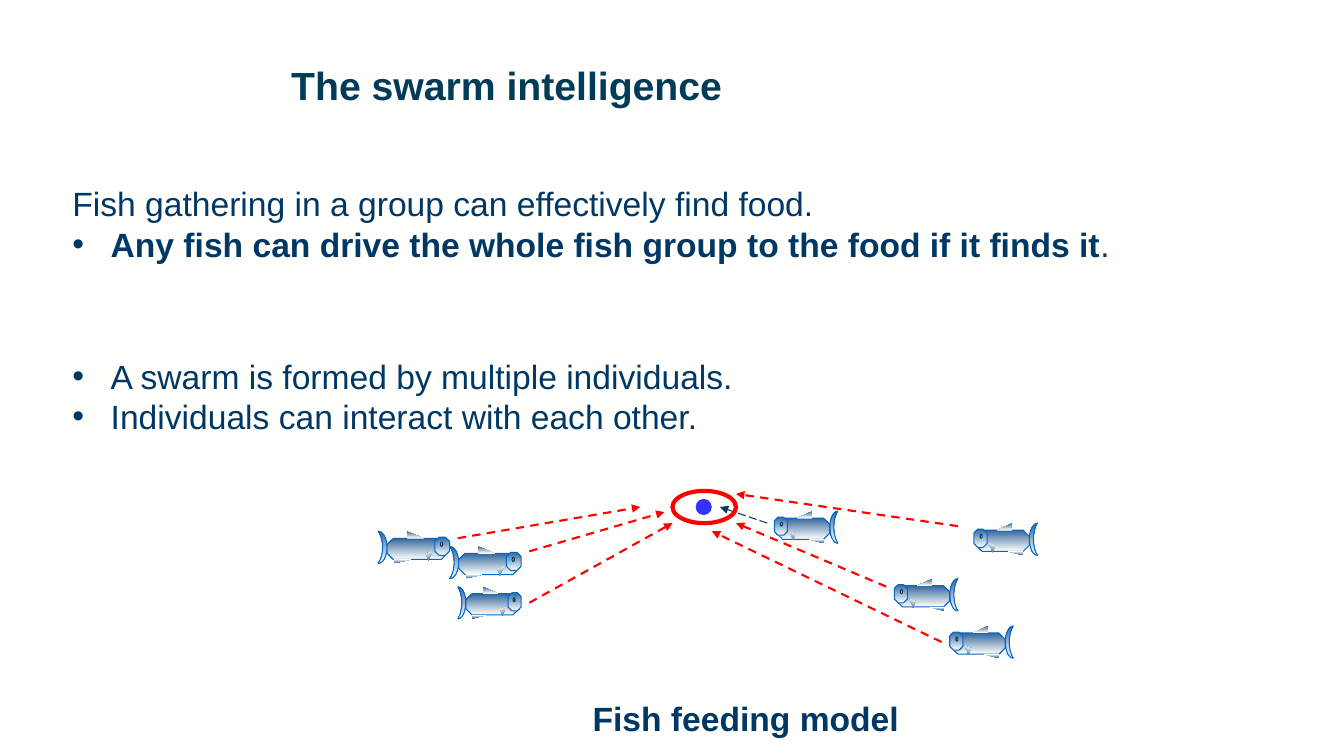
from lxml import etree
from pptx import Presentation
from pptx import util as u
from pptx.dml.color import RGBColor
from pptx.enum import dml, shapes, text
from pptx.oxml.ns import qn

NAVY, RED, PAPER = "003865", "FF0000", "FFFFFE"
FISH_W = 63
# preset, left, top, width, height, fill, line, flip h, flip v, rotation
FISH_PARTS = [
    ("MOON", 55, 0, 8, 32, "grad", "0066CC", False, False, 0),
    ("OCTAGON", 2, 7, 53, 21, "grad", "0066CC", False, False, 0),
    ("OCTAGON", 0, 6, 13, 18, "grad", "0066CC", False, False, 0),
    ("OVAL", 6, 11, 2, 4, PAPER, NAVY, False, False, 0),
    ("OVAL", 6, 12, 1, 2, NAVY, None, False, False, 0),
    ("RIGHT_TRIANGLE", 23, 0, 15, 7, "grad", None, True, False, 0),
    ("RIGHT_TRIANGLE", 34, 28, 15, 4, "grad", None, True, True, 0),
    ("RIGHT_TRIANGLE", 14, 21, 6, 7, "grad", None, True, True, 19.7),
]


def px(n):
    return u.Emu(round(n * 9144))


def rgb(value):
    return RGBColor.from_string(value)


def add_run(p, words, size=24, color=NAVY, bold=False):
    r = p.add_run()
    r.text = words
    r.font.name, r.font.size, r.font.bold = "Arial", u.Pt(size), bold
    r.font.color.rgb = rgb(color)


class Deck:
    def __init__(self):
        self.prs = Presentation()
        self.prs.slide_width, self.prs.slide_height = px(1333), px(750)
        self.s = self.prs.slides.add_slide(self.prs.slide_layouts[6])
        self.s.background.fill.solid()
        self.s.background.fill.fore_color.rgb = rgb(PAPER)

    def text(self, x, y, w, h, paragraphs, inset_top=5, spacing=None, grow=True):
        """Each paragraph is (bulleted, [(words, format), ...])."""
        tf = self.s.shapes.add_textbox(px(x), px(y), px(w), px(h)).text_frame
        tf.word_wrap = True
        tf.margin_top = px(inset_top)
        if grow:
            tf.auto_size = text.MSO_AUTO_SIZE.SHAPE_TO_FIT_TEXT
        for i, (bulleted, runs) in enumerate(paragraphs):
            p = tf.add_paragraph() if i else tf.paragraphs[0]
            if spacing:
                p.line_spacing = spacing
            if bulleted:
                pPr = p._p.get_or_add_pPr()
                pPr.set("marL", str(px(38)))
                pPr.set("indent", str(-px(38)))
                etree.SubElement(pPr, qn("a:buFont")).set("typeface", "Arial")
                etree.SubElement(pPr, qn("a:buChar")).set("char", "•")
            for words, fmt in runs:
                add_run(p, words, **fmt)

    def shape(self, preset, x, y, w, h, fill=None, line=None, weight=0.75, parent=None):
        kind = getattr(shapes.MSO_SHAPE, preset)
        sp = (parent or self.s).shapes.add_shape(kind, px(x), px(y), px(w), px(h))
        sp.shadow.inherit = False
        if fill == "grad":
            sp.fill.gradient()
            sp.fill.gradient_angle = 270
            for stop, color in zip(sp.fill.gradient_stops, ("336699", "FFFFFF")):
                stop.color.rgb = rgb(color)
        elif fill:
            sp.fill.solid()
            sp.fill.fore_color.rgb = rgb(fill)
        else:
            sp.fill.background()
        if line:
            sp.line.color.rgb = rgb(line)
            sp.line.width = u.Pt(weight)
        else:
            sp.line.fill.background()
        return sp

    def fish(self, x, y, width=FISH_W, faces_right=False):
        grp = self.s.shapes.add_group_shape()
        k = width / FISH_W
        for preset, left, top, w, h, fill, line, flip_h, flip_v, turn in FISH_PARTS:
            if faces_right:
                left, turn, flip_h = FISH_W - left - w, -turn, not flip_h
            sp = self.shape(preset, x + left * k, y + top, w * k, h, fill, line, parent=grp)
            sp.rotation = turn
            xfrm = sp._element.spPr.get_or_add_xfrm()
            if flip_h:
                xfrm.set("flipH", "1")
            if flip_v:
                xfrm.set("flipV", "1")

    def arrow(self, x1, y1, x2, y2, color=RED, weight=1.5, dash="DASH"):
        c = self.s.shapes.add_connector(
            shapes.MSO_CONNECTOR.STRAIGHT, px(x1), px(y1), px(x2), px(y2))
        c.line.color.rgb = rgb(color)
        c.line.width = u.Pt(weight)
        c.line.dash_style = getattr(dml.MSO_LINE, dash)
        etree.SubElement(c.line._get_or_add_ln(), qn("a:tailEnd")).set("type", "triangle")
        etree.SubElement(c._element.spPr, qn("a:effectLst"))


def main():
    d = Deck()

    # Title and statements
    d.text(279, 58, 1007, 97,
           [(False, [("The swarm intelligence", dict(size=28, color="003B58", bold=True))])],
           inset_top=8, spacing=0.9, grow=False)
    d.text(62, 177, 1053, 91, [
        (False, [("Fish gathering in a group can effectively find food.", {})]),
        (True, [("Any fish can drive the whole fish group to the food if it finds it",
                 dict(bold=True)), (".", {})]),
    ])
    d.text(62, 348, 1000, 91, [
        (True, [("A swarm is formed by multiple individuals.", {})]),
        (True, [("Individuals can interact with each other.", {})]),
    ])

    # Fish on both sides of the food
    for x, y in [(887, 574), (966, 519), (942, 621), (768, 507)]:
        d.fish(x, y)
    for x, y, width in [(375, 527, 71), (454, 582, 63), (446, 542, 71)]:
        d.fish(x, y, width, faces_right=True)

    # Food and the fish that finds it
    d.shape("OVAL", 690, 495, 16, 16, fill="3333FF")
    d.arrow(761, 519, 714, 503, NAVY, 0.75, "LONG_DASH")
    d.shape("OVAL", 667, 487, 63, 32, line=RED, weight=3)

    # The group follows
    for ends in [(454, 534, 635, 503), (525, 547, 659, 508), (525, 598, 667, 519),
                 (950, 522, 730, 490), (879, 582, 730, 519), (934, 637, 706, 527)]:
        d.arrow(*ends)

    # Caption
    d.text(578, 687, 377, 50, [(False, [("Fish feeding model", dict(bold=True))])])

    d.prs.save("out.pptx")


if __name__ == "__main__":
    main()
